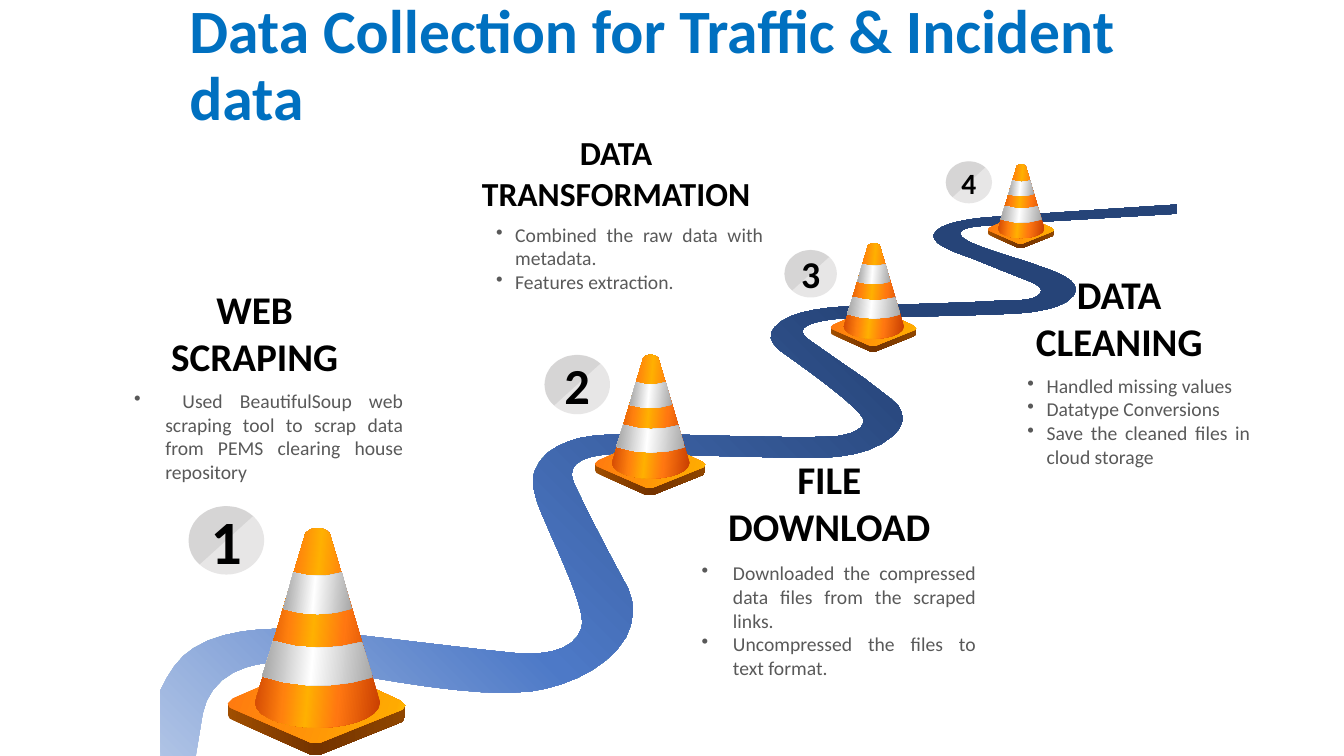
from dataclasses import dataclass
from math import ceil, hypot, sqrt

from lxml import etree
from pptx import Presentation
from pptx import util as u
from pptx.dml import color
from pptx.enum import shapes, text
from pptx.oxml import ns

Chain = list[tuple[float, float]]
Place = tuple[float, float, float, float]

ORANGE_BODY = [(0, "C73E01"), (31, "FF7711"), (53, "FFB001"), (70, "FF810E"), (89, "D74E05")]
SILVER = [(0, "A6A6A6"), (55, "FFFFFF"), (98, "A6A6A6")]
ORANGE_BASE = [(0, "FF7711"), (89, "FFAA01"), (100, "FECE02")]
BROWN_EDGE = [(0, "A04E00"), (50, "743300"), (100, "8F4600")]
ROAD_BLUE = [(26, "264478"), (68, "4D79C7"), (100, "B4C7E7")]
ROAD_LOWER_EDGE = [
    (11.67, 2.12), (11.04, 2.16), (10.4, 2.19), (9.78, 2.24), (9.73, 2.24), (9.52, 2.25), (9.52, 2.32),
    (9.53, 2.42), (10.1, 2.56), (10.28, 2.63), (10.38, 2.67), (10.76, 2.77), (10.65, 2.93),
    (10.56, 3.05), (10.34, 3.08), (10.2, 3.1), (9.9, 3.13), (8.9, 3.14), (8.33, 3.16),
    (8.23, 3.17), (7.8, 3.21), (8.02, 3.37), (8.29, 3.57), (8.58, 3.74), (8.84, 3.96),
    (8.98, 4.06), (8.99, 4.21), (8.86, 4.32), (8.6, 4.55), (8.2, 4.55), (7.82, 4.54),
    (7.39, 4.53), (6.96, 4.52), (6.53, 4.51), (6.33, 4.5), (5.53, 4.43), (5.69, 4.79),
    (5.84, 5.11), (6.06, 5.53), (6.23, 5.84), (6.3, 6), (6.29, 6.16), (6.21, 6.32),
    (6.03, 6.63), (5.62, 6.81), (5.26, 6.86), (4.6, 6.93), (3.6, 6.69), (2.92, 6.6),
    (2.76, 6.58), (2.6, 6.56), (2.44, 6.62), (2.21, 6.69), (2.05, 6.86), (2.01, 7.08),
    (1.97, 7.3), (1.94, 7.53), (1.9, 7.75)]
ROAD_UPPER_EDGE = [
    (1.59, 6.85), (1.67, 6.68), (1.77, 6.52), (1.92, 6.43), (2.23, 6.23), (2.73, 6.22), (3.11, 6.25),
    (3.42, 6.28), (4.6, 6.43), (5.12, 6.48), (5.34, 6.5), (5.69, 6.48), (5.77, 6.23),
    (5.82, 6.05), (5.52, 5.45), (5.41, 5.18), (5.35, 5.05), (5.25, 4.82), (5.3, 4.68),
    (5.36, 4.52), (5.48, 4.44), (5.64, 4.38), (5.84, 4.29), (6.3, 4.31), (6.59, 4.31),
    (7.1, 4.32), (7.9, 4.35), (8.28, 4.33), (8.37, 4.32), (8.6, 4.28), (8.56, 4.15),
    (8.5, 4.02), (7.95, 3.63), (7.74, 3.48), (7.67, 3.42), (7.6, 3.34), (7.68, 3.25),
    (7.82, 3.08), (8.2, 3.05), (8.42, 3.04), (8.9, 3.02), (9.5, 3.01), (9.98, 2.98),
    (10.06, 2.98), (10.27, 2.99), (10.32, 2.91), (10.36, 2.85), (10.25, 2.81), (10.21, 2.79),
    (10.02, 2.72), (9.84, 2.64), (9.66, 2.57), (9.59, 2.54), (9.23, 2.44), (9.26, 2.33),
    (9.3, 2.2), (9.7, 2.16), (9.89, 2.15), (10.45, 2.11), (11.2, 2.06), (11.67, 2.03)]
ROAD = [ROAD_LOWER_EDGE, [(1.59, 7.75)], ROAD_UPPER_EDGE]
CONE_PARTS = [
    ([[(-0.27, 1.74)], [(1.49, 1.76)], [(1.49, 1.87)], [(1.46, 1.92)], [(0.64, 2.25)],
      [(0.56, 2.25)], [(-0.25, 1.89)], [(-0.27, 1.85)]], BROWN_EDGE, 0),
    ([[(-0.27, 1.74)], [(-0.22, 1.69)], [(0.62, 1.33)], [(1.44, 1.71)], [(1.49, 1.76)],
      [(1.46, 1.8)], [(0.64, 2.13)], [(0.56, 2.13)], [(-0.25, 1.78)]], ORANGE_BASE, 20),
    ([[(0.5, 0.05), (0.55, -0.02), (0.69, -0.02), (0.74, 0.05)],
      [(1.24, 1.73), (1.24, 1.87), (0.96, 1.98), (0.62, 1.98), (0.28, 1.98), (0, 1.87), (0, 1.73)]],
     ORANGE_BODY, 185),
    ([[(0.38, 0.44), (0.53, 0.49), (0.71, 0.49), (0.86, 0.44)],
      [(0.96, 0.8), (0.75, 0.87), (0.49, 0.87), (0.28, 0.8)]], SILVER, 185),
    ([[(0.18, 1.12), (0.46, 1.21), (0.78, 1.21), (1.06, 1.13)],
      [(1.17, 1.48), (0.82, 1.59), (0.42, 1.59), (0.07, 1.47)]], SILVER, 185)]
BADGE_SHADE = [
    [(0.37, 0), (0.48, 0), (0.57, 0.04), (0.64, 0.1)], [(0.11, 0.58)],
    [(0.06, 0.53), (0.02, 0.48), (0, 0.41), (0, 0.34), (0, 0.15), (0.17, 0), (0.37, 0)]]


@dataclass
class Marker:
    number: str
    size: int
    badge_at: tuple[float, float]
    badge_width: float
    cone_at: tuple[float, float]
    cone_scale: float


@dataclass
class Step:
    heading: str
    heading_at: Place
    size: int
    bullets: list[str]
    bullets_at: Place
    indent: float


MARKERS = [Marker("1", 44, (1.87, 5.02), 0.75, (2.53, 5.24), 1),
           Marker("2", 36, (5.4, 3.52), 0.65, (6.07, 3.52), 0.62),
           Marker("3", 27, (7.78, 2.48), 0.52, (8.37, 2.41), 0.48),
           Marker("4", 21, (9.38, 1.6), 0.46, (9.9, 1.63), 0.37)]
STEPS = [
    Step("FILE DOWNLOAD", (7.02, 4.46, 2.41, 1.04), 28,
         ["Downloaded the compressed data files from the scraped links.",
          "Uncompressed the files to text format."], (6.96, 5.52, 2.72, 1.28), 0.31),
    Step("WEB SCRAPING", (1.32, 2.77, 2.41, 1.04), 28,
         [" Used BeautifulSoup web scraping tool to scrap data from PEMS clearing house repository"],
         (1.33, 3.81, 2.67, 1.04), 0.31),
    Step("DATA TRANSFORMATION", (4.65, 1.25, 2.92, 0.91), 24,
         ["Combined the raw data with metadata.", "Features extraction."], (4.92, 2.16, 2.65, 0.81), 0.19),
    Step("DATA CLEANING", (10.19, 2.62, 1.82, 1.04), 28,
         ["Handled missing values", "Datatype Conversions", "Save the cleaned files in cloud storage"],
         (10.19, 3.66, 2.21, 1.04), 0.19)]


def flatten(chain: Chain, tolerance: float) -> Chain:
    points = chain[:1]
    for start in range(0, len(chain) - 1, 3):
        a, b, c, d = chain[start:start + 4]
        bend = max(hypot(p[0] - 2 * q[0] + r[0], p[1] - 2 * q[1] + r[1]) for p, q, r in ((a, b, c), (b, c, d)))
        steps = max(1, ceil(sqrt(0.75 * bend / tolerance)))
        for t in (step / steps for step in range(1, steps + 1)):
            weights = ((1 - t) ** 3, 3 * (1 - t) ** 2 * t, 3 * (1 - t) * t * t, t ** 3)
            points.append(tuple(sum(w * p[axis] for w, p in zip(weights, (a, b, c, d))) for axis in (0, 1)))
    return points


def strip(shape):
    shape.shadow.inherit = False
    shape.line.fill.background()
    return shape


def draw_outline(target, chains: list[Chain], at: tuple[float, float] = (0, 0), scale: float = 1):
    points = [(u.Inches(at[0] + x * scale), u.Inches(at[1] + y * scale))
              for chain in chains for x, y in flatten(chain, 0.005 / scale)]
    builder = target.build_freeform(*points[0])
    builder.add_line_segments(points[1:], close=True)
    return strip(builder.convert_to_shape())


def paint(fill, value: str) -> None:
    fill.solid()
    fill.fore_color.rgb = color.RGBColor.from_string(value)


def set_gradient(shape, stops: list[tuple[int, str]], angle: int | None = None) -> None:
    shape.fill.gradient()
    gradient = shape.element.spPr.find(ns.qn("a:gradFill"))
    gradient.clear()
    stop_list = etree.SubElement(gradient, ns.qn("a:gsLst"))
    for position, value in stops:
        stop = etree.SubElement(stop_list, ns.qn("a:gs"), pos=str(position * 1000))
        etree.SubElement(stop, ns.qn("a:srgbClr"), val=value)
    if angle is None:
        circle = etree.SubElement(gradient, ns.qn("a:path"), path="circle")
        etree.SubElement(circle, ns.qn("a:fillToRect"), l="100000", b="100000")
    else:
        etree.SubElement(gradient, ns.qn("a:lin"), ang=str(angle * 60000), scaled="0")


def add_span(para, words: str, size: int, value: str = "000000", bold: bool = True) -> None:
    span = para.add_run()
    span.text = words
    span.font.name, span.font.size, span.font.bold = "Calibri", u.Pt(size), bold
    paint(span.font.fill, value)


def add_box(page, at: Place, anchor, side: float = 0):
    frame = page.shapes.add_textbox(*map(u.Inches, at)).text_frame
    frame.word_wrap, frame.vertical_anchor = True, anchor
    frame.margin_left = frame.margin_right = u.Inches(side)
    return frame


def draw_marker(page, marker: Marker) -> None:
    cone = page.shapes.add_group_shape()
    for chains, stops, angle in CONE_PARTS:
        set_gradient(draw_outline(cone.shapes, chains, marker.cone_at, marker.cone_scale), stops, angle)
    badge = page.shapes.add_group_shape()
    scale = marker.badge_width / 0.75
    place = (*marker.badge_at, marker.badge_width, 0.68 * scale)
    disc = strip(badge.shapes.add_shape(shapes.MSO_SHAPE.OVAL, *map(u.Inches, place)))
    paint(disc.fill, "E7E6E6")
    disc.text_frame.word_wrap, disc.text_frame.vertical_anchor = False, text.MSO_ANCHOR.MIDDLE
    para = disc.text_frame.paragraphs[0]
    para.alignment = text.PP_ALIGN.CENTER
    add_span(para, marker.number, marker.size)
    shade = draw_outline(badge.shapes, BADGE_SHADE, marker.badge_at, scale)
    paint(shade.fill, "000000")
    etree.SubElement(shade.element.spPr.find(ns.qn("a:solidFill"))[0], ns.qn("a:alpha"), val="7000")


def draw_step(page, step: Step) -> None:
    para = add_box(page, step.heading_at, text.MSO_ANCHOR.BOTTOM).paragraphs[0]
    para.alignment = text.PP_ALIGN.CENTER
    add_span(para, step.heading, step.size)
    frame = add_box(page, step.bullets_at, text.MSO_ANCHOR.TOP)
    for index, words in enumerate(step.bullets):
        para = frame.add_paragraph() if index else frame.paragraphs[0]
        para.alignment = text.PP_ALIGN.JUSTIFY
        properties = para._p.get_or_add_pPr()
        properties.set("marL", str(u.Inches(step.indent)))
        properties.set("indent", str(-u.Inches(step.indent)))
        etree.SubElement(properties, ns.qn("a:buChar"), char="•")
        add_span(para, words, 14, "595959", False)


deck = Presentation()
deck.slide_width, deck.slide_height = u.Inches(13.33), u.Inches(7.5)
page = deck.slides.add_slide(deck.slide_layouts[6])
title = add_box(page, (1.78, 0.26, 10.34, 0.81), text.MSO_ANCHOR.MIDDLE, 0.1).paragraphs[0]
title.line_spacing = 0.9
add_span(title, "Data Collection for Traffic & Incident data", 44, "0070C0")
set_gradient(draw_outline(page.shapes, ROAD), ROAD_BLUE)
for marker in MARKERS:
    draw_marker(page, marker)
for step in STEPS:
    draw_step(page, step)
deck.save("out.pptx")
